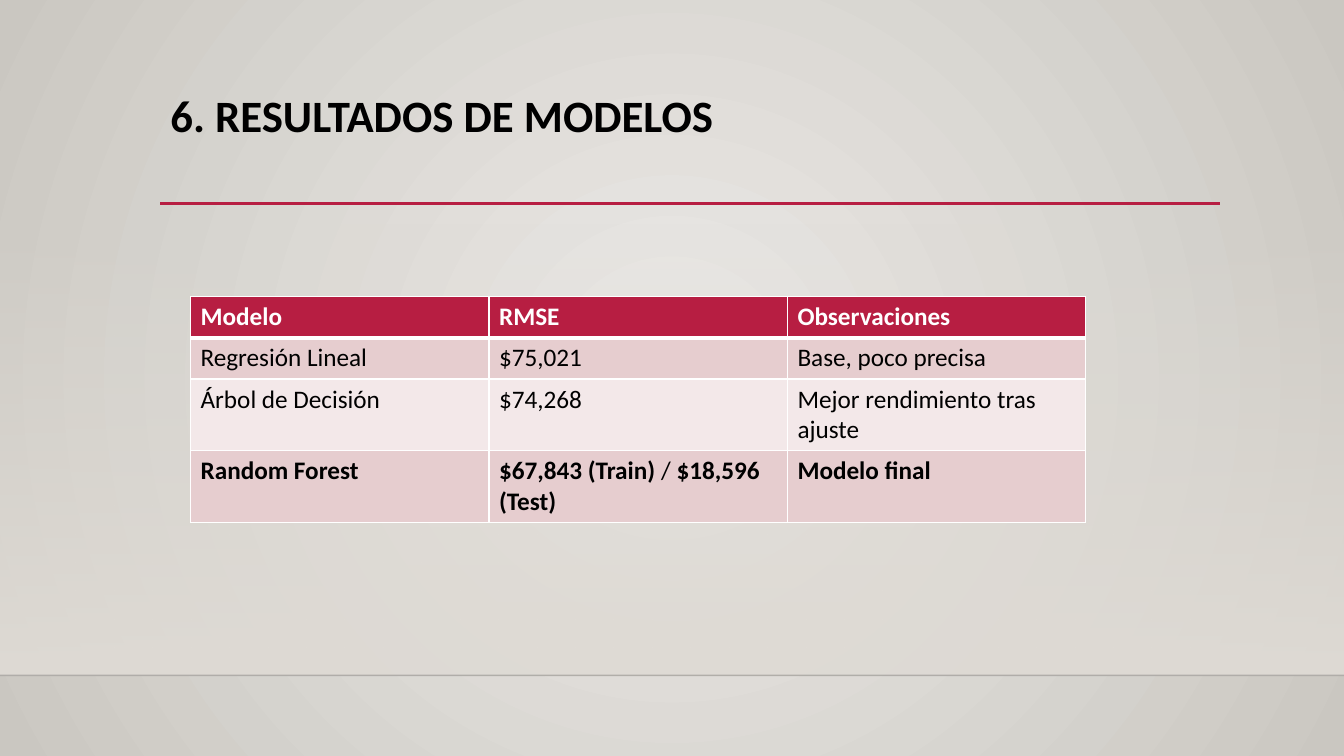
import pptx
import pptx.util
import pptx.dml.color
import pptx.enum.shapes
import pptx.enum.text
import pptx.oxml
import pptx.oxml.ns
from pptx.util import Inches

RED, WHITE, BLACK = "B71E42", "FFFFFF", "000000"
BANDS = ["E6CDCF", "F3E8E9"]
HEADER = ["Modelo", "RMSE", "Observaciones"]
ROWS = [
    [[("Regresión Lineal", False)], [("$75,021", False)],
     [("Base, poco precisa", False)]],
    [[("Árbol de Decisión", False)], [("$74,268", False)],
     [("Mejor rendimiento tras ajuste", False)]],
    [[("Random Forest", True)],
     [("$67,843 (Train) ", True), ("/ ", False), ("$18,596 (Test)", True)],
     [("Modelo final", True)]],
]


def rgb(value):
    return pptx.dml.color.RGBColor.from_string(value)


def element(xml):
    tag, rest = xml.split(" ", 1)
    return pptx.oxml.parse_xml(f'{tag} {pptx.oxml.ns.nsdecls("a")} {rest}')


def gradient(stops, direction):
    gs = "".join(
        f'<a:gs pos="{pos * 1000}"><a:srgbClr val="{color}">'
        f'<a:alpha val="{alpha * 1000}"/></a:srgbClr></a:gs>'
        for pos, color, alpha in stops)
    return element(f'<a:gradFill rotWithShape="1"><a:gsLst>{gs}</a:gsLst>'
                   f'{direction}</a:gradFill>')


def set_background(s):
    s.background.fill.solid()
    bg = s._element.find(".//" + pptx.oxml.ns.qn("p:bgPr"))
    circle = ('<a:path path="circle"><a:fillToRect l="50000" t="50000" '
              'r="50000" b="50000"/></a:path>')
    bg.replace(bg[0], gradient([(0, "ECEAE7", 100), (100, "CAC7C1", 100)], circle))


def add_fade(s, left, top, width, height):
    sp = s.shapes.add_shape(pptx.enum.shapes.MSO_SHAPE.RECTANGLE,
                            Inches(left), Inches(top), Inches(width), Inches(height))
    sp.shadow.inherit = False
    sp.line.fill.background()
    sp.fill.solid()
    pr = sp._element.spPr
    pr.replace(pr.find(pptx.oxml.ns.qn("a:solidFill")),
               gradient([(0, "DFDBD5", 0), (100, "DFDBD5", 100)],
                        '<a:lin ang="5400000" scaled="0"/>'))


def add_rule(s, x1, x2, y, color, width, alpha=100):
    line = s.shapes.add_connector(pptx.enum.shapes.MSO_CONNECTOR.STRAIGHT,
                                  Inches(x1), Inches(y), Inches(x2), Inches(y))
    line.line.color.rgb = rgb(color)
    line.line.width = pptx.util.Pt(width)
    pr = line._element.spPr
    if alpha < 100:
        pr.find(".//" + pptx.oxml.ns.qn("a:srgbClr")).append(
            element(f'<a:alpha val="{alpha * 1000}"/>'))
    pr.append(element("<a:effectLst />"))


def add_run(p, text, size, color, bold):
    r = p.add_run()
    r.text = text
    font = {"name": "Calibri", "size": pptx.util.Pt(size), "bold": bold}
    for key, value in font.items():
        setattr(r.font, key, value)
    r.font.color.rgb = rgb(color)


def set_title(s, text, left, top, width, height):
    sp = s.shapes.title
    place = {"left": left, "top": top, "width": width, "height": height}
    for key, value in place.items():
        setattr(sp, key, Inches(value))
    tf = sp.text_frame
    frame = {"word_wrap": True,
             "auto_size": pptx.enum.text.MSO_AUTO_SIZE.NONE,
             "vertical_anchor": pptx.enum.text.MSO_ANCHOR.TOP}
    for key, value in frame.items():
        setattr(tf, key, value)
    p = tf.paragraphs[0]
    p.alignment = pptx.enum.text.PP_ALIGN.LEFT
    p.line_spacing = 0.9
    add_run(p, text, 32, BLACK, True)


def fill_cell(cell, runs, fill, color, edges):
    pr = cell._tc.get_or_add_tcPr()
    for side in "LRTB":
        pr.append(element(
            f'<a:ln{side} w="{edges.get(side, 1) * 12700}"><a:solidFill>'
            f'<a:srgbClr val="{WHITE}"/></a:solidFill></a:ln{side}>'))
    cell.fill.solid()
    cell.fill.fore_color.rgb = rgb(fill)
    for text, bold in runs:
        add_run(cell.text_frame.paragraphs[0], text, 18, color, bold)


def add_results(s, left, top, col_width, row_height):
    rows, cols = len(ROWS) + 1, len(HEADER)
    table = s.shapes.add_table(rows, cols, Inches(left), Inches(top),
                               Inches(col_width * cols),
                               Inches(row_height * rows)).table
    for col in table.columns:
        col.width = Inches(col_width)
    for row in table.rows:
        row.height = Inches(row_height)
    for c, text in enumerate(HEADER):
        fill_cell(table.cell(0, c), [(text, True)], RED, WHITE, {"B": 3})
    for r, row in enumerate(ROWS):
        for c, runs in enumerate(row):
            fill_cell(table.cell(r + 1, c), runs, BANDS[r % 2], BLACK,
                      {"T": 3} if r == 0 else {})


def main():
    prs = pptx.Presentation()
    prs.slide_width, prs.slide_height = Inches(13.33), Inches(7.5)
    s = prs.slides.add_slide(prs.slide_layouts[5])
    set_background(s)
    add_fade(s, 0, 2.21, 13.33, 4.49)
    add_rule(s, 0, 13.33, 6.7, "000001", 1, 20)
    add_rule(s, 1.59, 12.1, 2.02, RED, 2.5)
    set_title(s, "6. RESULTADOS DE MODELOS", 1.59, 0.88, 10.5, 1.15)
    add_results(s, 1.89, 2.94, 2.96, 0.41)
    prs.save("out.pptx")


if __name__ == "__main__":
    main()
